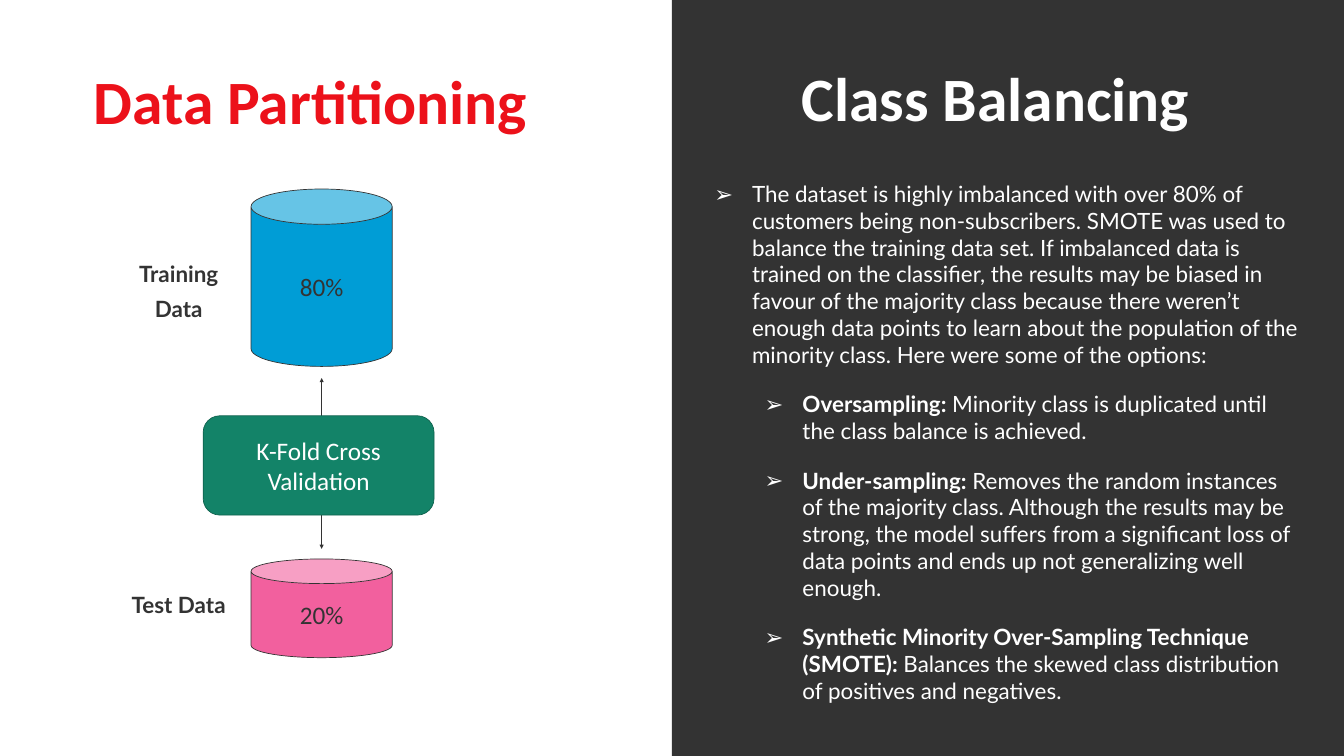
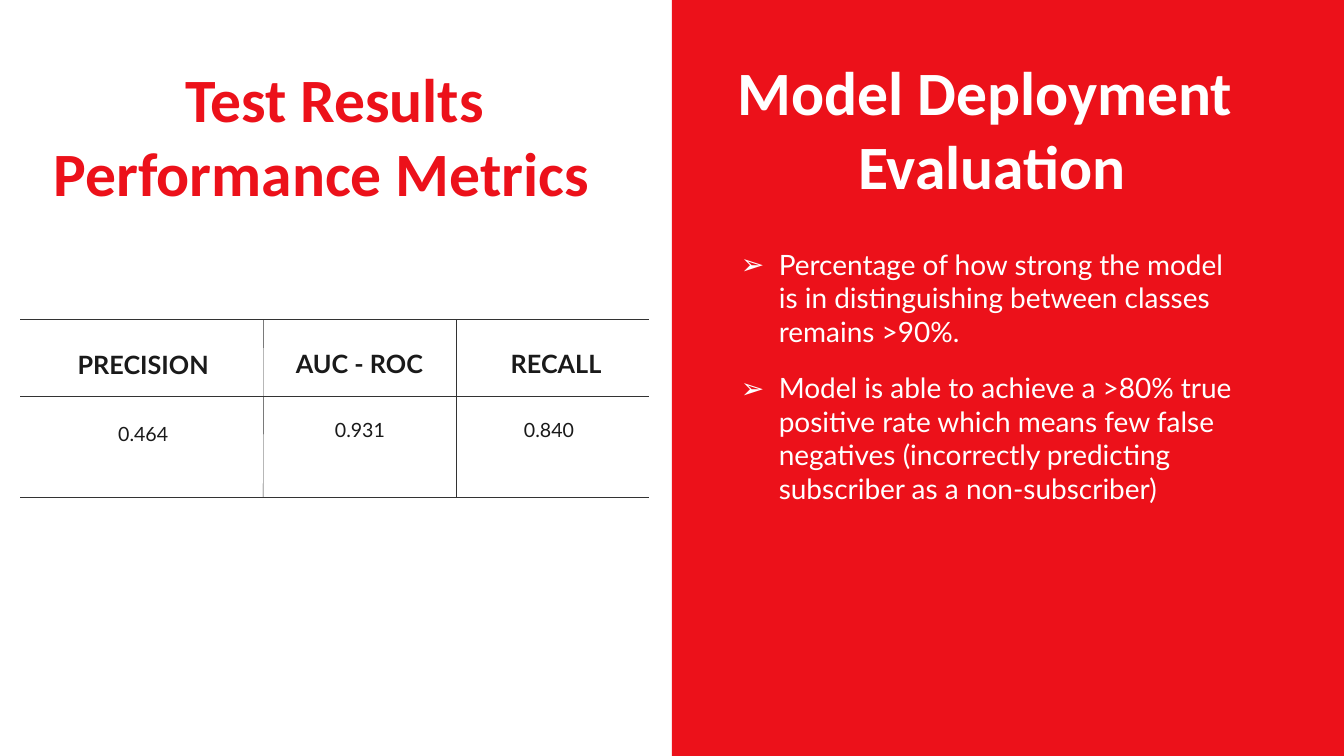
from lxml import etree
from pptx import Presentation
from pptx import util as u
from pptx.dml.color import RGBColor
from pptx.enum import shapes, text
from pptx.oxml import ns

# Shared style
WHITE, RED, DARK, INK = "FFFFFF", "EC111A", "333333", "1A1A1A"
BLUE, PINK, GREEN, DEEP_GREEN = "009DD6", "F2609E", "138368", "0E614D"
HEADING, BODY = "Calibri", "Lato"
WIDTH, HEIGHT = 26.66, 15
HALF = WIDTH / 2
LEFT, CENTER = text.PP_ALIGN.LEFT, text.PP_ALIGN.CENTER


def rgb(color):
    return RGBColor.from_string(color)


def add_xml(parent, tag, **attributes):
    return etree.SubElement(parent, ns.qn(tag), attributes)


class Deck:
    """Holds the presentation, its style and the current slide."""

    def __init__(self):
        self.presentation = Presentation()
        self.presentation.slide_width = u.Inches(WIDTH)
        self.presentation.slide_height = u.Inches(HEIGHT)
        self.slide = None

    def new_slide(self):
        self.slide = self.presentation.slides.add_slide(self.presentation.slide_layouts[6])
        background = self.slide.background.fill
        background.solid()
        background.fore_color.rgb = rgb(WHITE)

    def right_panel(self, color):
        self.shape(shapes.MSO_SHAPE.RECTANGLE, (HALF, 0, HALF, HEIGHT), color)

    def format_runs(self, paragraph, size, color, font, bold=False):
        for run in paragraph.runs:
            run.font.size = u.Pt(size)
            run.font.name = font
            run.font.bold = bold
            run.font.color.rgb = rgb(color)

    def shape(self, kind, box, fill, line=None, label="", label_color=DARK):
        shape = self.slide.shapes.add_shape(kind, *map(u.Inches, box))
        shape.shadow.inherit = False
        shape.fill.solid()
        shape.fill.fore_color.rgb = rgb(fill)
        if line:
            shape.line.color.rgb = rgb(line)
            shape.line.width = u.Pt(1)
        else:
            shape.line.fill.background()
        if label:
            frame = shape.text_frame
            frame.text = label
            frame.vertical_anchor = text.MSO_ANCHOR.MIDDLE
            frame.paragraphs[0].alignment = CENTER
            self.format_runs(frame.paragraphs[0], 36, label_color, HEADING)

    def line(self, x1, y1, x2, y2, arrows=False):
        ends = map(u.Inches, (x1, y1, x2, y2))
        connector = self.slide.shapes.add_connector(shapes.MSO_CONNECTOR.STRAIGHT, *ends)
        connector.line.color.rgb = rgb(DARK)
        connector.line.width = u.Pt(0.5)
        if arrows:
            for end in ("a:headEnd", "a:tailEnd"):
                add_xml(connector.line._get_or_add_ln(), end, type="triangle")
        add_xml(connector._element.spPr, "a:effectLst")

    def text_frame(self, box, margins=None, grow=False):
        frame = self.slide.shapes.add_textbox(*map(u.Inches, box)).text_frame
        frame.word_wrap = True
        if grow:
            frame.auto_size = text.MSO_AUTO_SIZE.SHAPE_TO_FIT_TEXT
        if margins:
            (frame.margin_left, frame.margin_top,
             frame.margin_right, frame.margin_bottom) = map(u.Inches, margins)
        return frame

    def title(self, box, lines, color, alignments):
        frame = self.text_frame(box, (0, 0, 0, 0.05), grow=True)
        frame.text = "\n".join(lines)
        for paragraph, alignment in zip(frame.paragraphs, alignments):
            paragraph.alignment = alignment
            self.format_runs(paragraph, 88, color, HEADING, True)

    def label(self, box, words, size=32, color=DARK, bold=True):
        frame = self.text_frame(box, (0, 0, 0, 0))
        frame.text = words
        paragraph = frame.paragraphs[0]
        paragraph.alignment = CENTER
        paragraph.line_spacing = 1.3
        self.format_runs(paragraph, size, color, BODY, bold)

    def bullets(self, box, items, size):
        """Each item is (level, bold lead, text)."""
        frame = self.text_frame(box, grow=True)
        for index, (level, lead, words) in enumerate(items):
            paragraph = frame.add_paragraph() if index else frame.paragraphs[0]
            paragraph.level = level
            paragraph.space_before = u.Pt(32)
            for part in filter(None, (lead, words)):
                paragraph.add_run().text = part
            self.format_runs(paragraph, size, WHITE, BODY)
            if lead:
                paragraph.runs[0].font.bold = True
            properties = paragraph._p.get_or_add_pPr()
            properties.set("marL", str(u.Inches(0.75 + level)))
            properties.set("indent", str(u.Inches(-0.75)))
            add_xml(properties, "a:buFont", typeface=BODY)
            add_xml(properties, "a:buChar", char="➢")


def partitioning_slide(deck):
    deck.new_slide()
    deck.line(6.38, 7.5, 6.38, 10.89, arrows=True)
    deck.right_panel(DARK)
    deck.bullets((14.07, 3.52, 11.87, 10.06), [
        (0, "", "The dataset is highly imbalanced with over 80% of customers being "
                "non-subscribers. SMOTE was used to balance the training data set. "
                "If imbalanced data is trained on the classifier, the results may be "
                "biased in favour of the majority class because there weren’t enough "
                "data points to learn about the population of the minority class. "
                "Here were some of the options:"),
        (1, "Oversampling: ",
         "Minority class is duplicated until the class balance is achieved."),
        (1, "Under-sampling: ",
         "Removes the random instances of the majority class. Although the results "
         "may be strong, the model suffers from a significant loss of data points "
         "and ends up not generalizing well enough."),
        (1, "Synthetic Minority Over-Sampling Technique (SMOTE): ",
         "Balances the skewed class distribution of positives and negatives."),
    ], 32)
    deck.title((12.84, 1.18, 13.82, 1.53), ["Class Balancing"], WHITE, [CENTER])
    deck.title((1.86, 1.24, 9.58, 1.53), ["Data Partitioning"], RED, [LEFT])

    # Data split: cylinders with their labels
    for top, height, fill, share, name, label_top in (
            (3.75, 3.52, BLUE, "80%", "Training Data", 5),
            (11.09, 1.96, PINK, "20%", "Test Data", 11.56)):
        deck.shape(shapes.MSO_SHAPE.CAN, (4.98, top, 2.8, height), fill, DARK, share)
        deck.label((2.48, label_top, 2.13, 1.02), name)
    deck.shape(shapes.MSO_SHAPE.ROUNDED_RECTANGLE, (4.03, 8.25, 4.58, 1.97),
               GREEN, DEEP_GREEN, "K-Fold Cross Validation", WHITE)


def results_slide(deck):
    deck.new_slide()
    deck.right_panel(RED)
    deck.title((1.06, 1.21, 11.15, 3.01), ["Test Results", "Performance Metrics"],
               RED, [CENTER, LEFT])

    # Metrics grid: rules, then a heading and a value per column
    left, right, top, bottom = 0.4, 12.87, 6.33, 9.86
    for y in (top, 7.86, bottom):
        deck.line(left, y, right, y)
    for x_top, x_bottom in ((5.23, 5.22), (9.05, 9.05)):
        deck.line(x_top, top, x_bottom, bottom)
    for name, name_left, name_top, value, value_left, value_top in (
            ("PRECISION", 0.14, 6.76, "0.464", 0.14, 8.23),
            ("AUC - ROC", 4.43, 6.73, "0.931", 4.44, 8.16),
            ("RECALL", 8.33, 6.73, "0.840", 8.19, 8.16)):
        deck.label((name_left, name_top, 5.4, 0.67), name, 36, INK)
        deck.label((value_left, value_top, 5.4, 0.67), value, 28, INK, bold=False)

    deck.bullets((14.6, 4.86, 9.95, 5.26), [
        (0, "", "Percentage of how strong the model is in distinguishing between "
                "classes remains >90%."),
        (0, "", "Model is able to achieve a >80% true positive rate which means few "
                "false negatives (incorrectly predicting subscriber as a "
                "non-subscriber)"),
    ], 40)
    deck.title((12.77, 1.07, 13.82, 3.01), ["Model Deployment ", "Evaluation"],
               WHITE, [CENTER, CENTER])


def main():
    deck = Deck()
    partitioning_slide(deck)
    results_slide(deck)
    deck.presentation.save("out.pptx")


if __name__ == "__main__":
    main()
